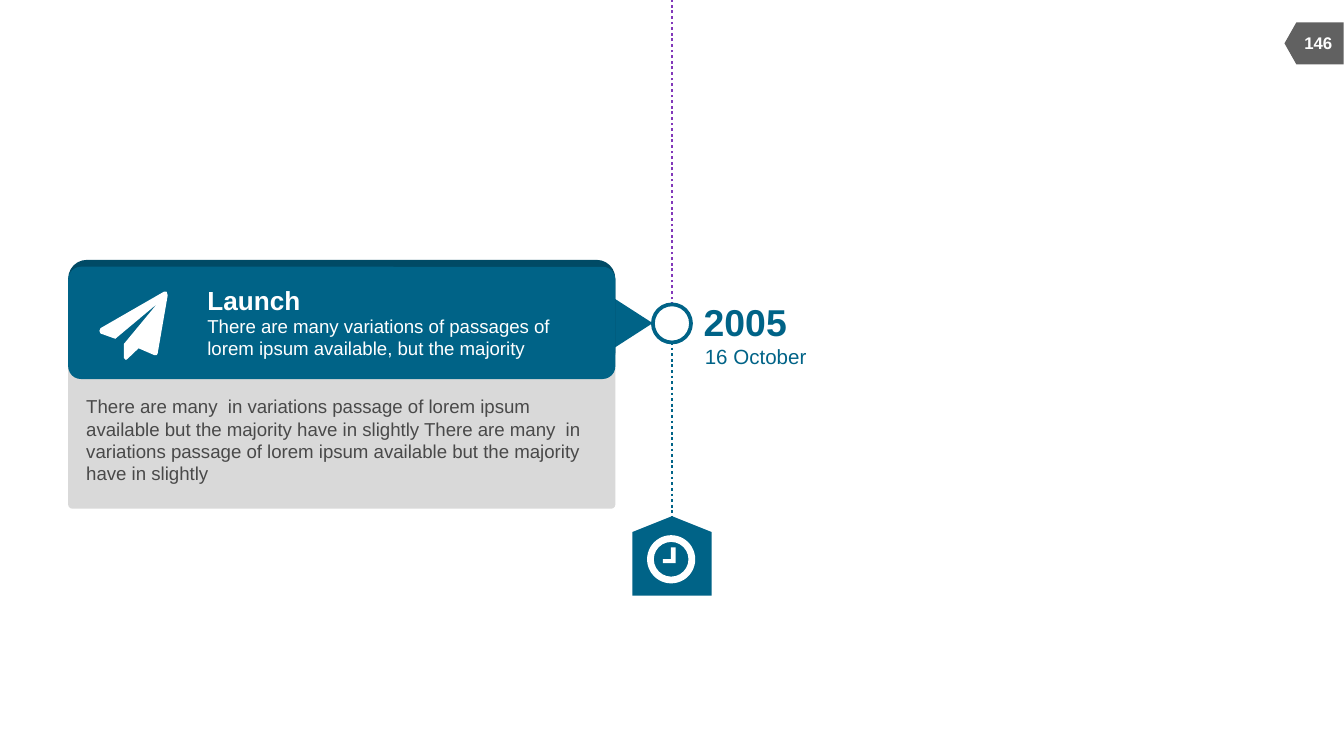
import lxml.etree
import pptx
import pptx.dml.color
import pptx.enum.dml
import pptx.enum.shapes
import pptx.enum.text
import pptx.oxml.ns
import pptx.util

Cm = pptx.util.Cm
SHAPE = pptx.enum.shapes.MSO_SHAPE
ANCHOR = pptx.enum.text.MSO_ANCHOR
ALIGN = pptx.enum.text.PP_ALIGN

COLOURS = {
    "teal": "006387",
    "dark teal": "004A65",
    "purple": "8238BA",
    "panel": "D9D9D9",
    "tag": "616161",
    "body": "494949",
    "white": "FFFFFF",
}

AXIS = 12.7
CARD_LEFT, CARD_WIDTH = 1.29, 10.34

# Icon outlines in hundredths of a centimetre
PLANE = [
    (317, 558), (298, 668), (296, 671), (292, 671), (262, 658), (241, 678),
    (238, 680), (234, 676), (234, 650), (297, 574), (218, 640), (190, 630),
    (188, 625), (190, 620), (310, 551), (315, 551),
]
CLOCK_HANDS = [
    (1268, 1034), (1277, 1034), (1277, 1064),
    (1253, 1064), (1253, 1056), (1268, 1056),
]


def colour(name):
    return pptx.dml.color.RGBColor.from_string(COLOURS[name])


def write_text(shape, text, size, color, font="Arial", bold=False,
               align=ALIGN.LEFT, anchor=ANCHOR.TOP, wrap=True):
    frame = shape.text_frame
    frame.margin_left = frame.margin_right = 0
    frame.margin_top = frame.margin_bottom = 0
    frame.auto_size = pptx.enum.text.MSO_AUTO_SIZE.NONE
    frame.word_wrap = wrap
    frame.vertical_anchor = anchor
    frame.text = text
    paragraph = frame.paragraphs[0]
    if shape.is_placeholder:
        properties = paragraph._p.get_or_add_pPr()
        properties.set("marL", "0")
        properties.set("indent", "0")
        lxml.etree.SubElement(properties, pptx.oxml.ns.qn("a:buNone"))
    paragraph.alignment = align
    paragraph.space_before = pptx.util.Pt(0)
    paragraph.font.name = font
    paragraph.font.size = pptx.util.Pt(size)
    paragraph.font.bold = bold
    paragraph.font.color.rgb = colour(color)


class TimelineSlide:
    """Draws on one slide; lengths are in centimetres."""

    def __init__(self, presentation):
        self.slide = presentation.slides.add_slide(presentation.slide_layouts[1])
        self.shapes = self.slide.shapes

    def paint(self, shape, fill, line=None, line_width=2):
        shape.shadow.inherit = False
        shape.fill.solid()
        shape.fill.fore_color.rgb = colour(fill)
        if line:
            shape.line.color.rgb = colour(line)
            shape.line.width = pptx.util.Pt(line_width)
        else:
            shape.line.fill.background()

    def preset(self, kind, left, top, width, height, fill,
               line=None, rotation=0, adjustment=None):
        shape = self.shapes.add_shape(
            kind, Cm(left), Cm(top), Cm(width), Cm(height))
        shape.rotation = rotation
        if adjustment is not None:
            shape.adjustments[0] = adjustment
        self.paint(shape, fill, line)

    def outline(self, points, fill):
        builder = self.shapes.build_freeform(*points[0], scale=Cm(0.01))
        builder.add_line_segments(points[1:], close=True)
        self.paint(builder.convert_to_shape(), fill)

    def dotted_line(self, x, top, bottom, color):
        connector = self.shapes.add_connector(
            pptx.enum.shapes.MSO_CONNECTOR.STRAIGHT,
            Cm(x), Cm(top), Cm(x), Cm(bottom))
        connector.line.color.rgb = colour(color)
        connector.line.width = pptx.util.Pt(1.5)
        connector.line.dash_style = pptx.enum.dml.MSO_LINE.ROUND_DOT
        lxml.etree.SubElement(
            connector._element.spPr, pptx.oxml.ns.qn("a:effectLst"))

    def text(self, text, left, top, width, height, **text_format):
        box = self.shapes.add_textbox(
            Cm(left), Cm(top), Cm(width), Cm(height))
        write_text(box, text, **text_format)

    def placeholder(self, index, text, left, top, width, height, **text_format):
        """Fill a template placeholder and bring it to the front."""
        shape = self.slide.placeholders[index]
        shape.left, shape.top = Cm(left), Cm(top)
        shape.width, shape.height = Cm(width), Cm(height)
        write_text(shape, text, **text_format)
        shape.element.getparent().append(shape.element)


def draw_page_tag(page):
    page.preset(SHAPE.FLOWCHART_OFFPAGE_CONNECTOR, 24.44, 0.26, 0.79, 1.12,
                "tag", rotation=90)
    page.text("146", 24.43, 0.43, 0.97, 0.76, size=9, color="white", bold=True,
              align=ALIGN.CENTER, anchor=ANCHOR.MIDDLE)


def draw_card(page):
    page.preset(SHAPE.ROUNDED_RECTANGLE, CARD_LEFT, 6.46, CARD_WIDTH, 3.15,
                "panel", adjustment=0.025)
    page.preset(SHAPE.ISOSCELES_TRIANGLE, 11.18, 5.6, 1.3, 1.01, "teal",
                rotation=90)
    page.preset(SHAPE.ROUNDED_RECTANGLE, CARD_LEFT, 4.91, CARD_WIDTH, 2.1,
                "dark teal")
    page.preset(SHAPE.ROUNDED_RECTANGLE, CARD_LEFT, 5.04, CARD_WIDTH, 2.12,
                "teal", adjustment=0.113)
    page.outline(PLANE, "white")
    page.placeholder(0, "Launch", 3.92, 5.36, 2.2, 0.61, size=14,
                     color="white", bold=True, anchor=ANCHOR.MIDDLE)
    page.text("There are many variations of passages of lorem ipsum available, "
              "but the majority", 3.92, 5.94, 7.01, 0.86, size=10, color="white")
    sentence = ("There are many  in variations passage of lorem ipsum available "
                "but the majority have in slightly")
    page.placeholder(1, f"{sentence} {sentence}", 1.63, 7.46, 9.58, 1.7,
                     size=10, color="body")


def draw_milestone(page):
    page.preset(SHAPE.OVAL, AXIS - 0.36, 5.75, 0.72, 0.72, "white", line="teal")
    label = {"color": "teal", "anchor": ANCHOR.MIDDLE, "wrap": False}
    page.text("2005", 13.3, 5.65, 1.57, 0.86, size=20, bold=True, **label)
    page.text("16 October", 13.32, 6.5, 1.93, 0.48, size=11, **label)


def draw_clock_marker(page):
    page.preset(SHAPE.FLOWCHART_OFFPAGE_CONNECTOR, AXIS - 0.75, 9.75, 1.5, 1.5,
                "teal", rotation=180)
    page.preset(SHAPE.DONUT, 12.23, 10.11, 0.91, 0.91, "white", adjustment=0.14)
    page.outline(CLOCK_HANDS, "white")


def main():
    presentation = pptx.Presentation()
    presentation.slide_width = Cm(25.4)
    presentation.slide_height = Cm(14.28)
    page = TimelineSlide(presentation)
    draw_page_tag(page)
    page.dotted_line(AXIS, 6.46, 9.85, "teal")
    page.dotted_line(AXIS, 5.76, 0, "purple")
    draw_card(page)
    draw_milestone(page)
    draw_clock_marker(page)
    presentation.save("out.pptx")


if __name__ == "__main__":
    main()
